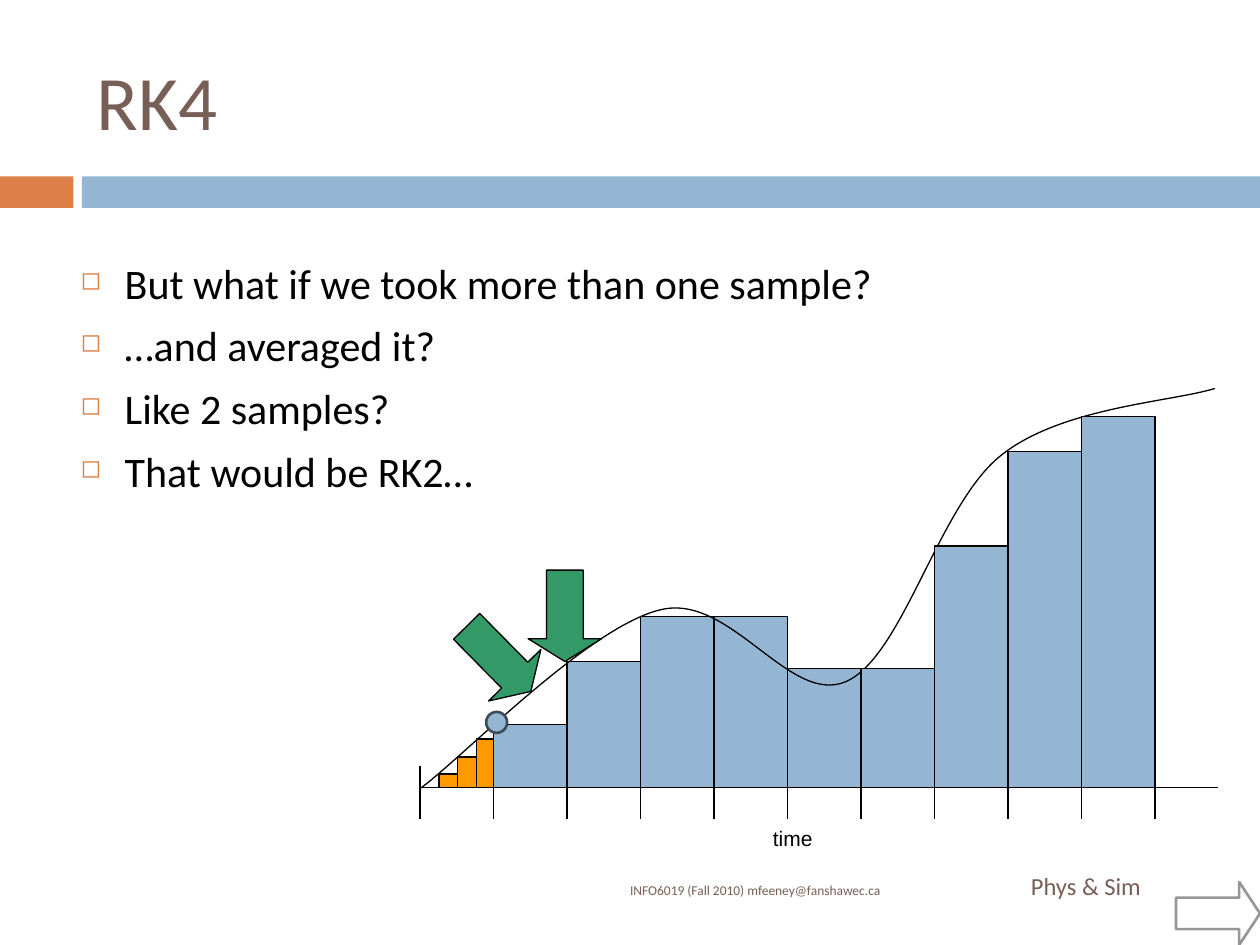
from dataclasses import dataclass

import lxml.etree
import pptx
import pptx.dml.color
import pptx.enum.shapes
import pptx.enum.text
import pptx.oxml.ns
import pptx.util

PX = 7620
BLUE, ORANGE, BROWN, BLACK = "94B6D2", "DD8047", "775F55", "000000"
GREEN, AMBER, GREY, SLATE = "339966", "FF9900", "969696", "3B4B58"
KIND = pptx.enum.shapes.MSO_SHAPE
ALIGN = pptx.enum.text.PP_ALIGN
ANCHOR = pptx.enum.text.MSO_ANCHOR
qn = pptx.oxml.ns.qn

LEFT, BASE, STEP = 400, 750, 70
SLIM = 18


@dataclass
class Box:
    x: int
    y: int
    w: int
    h: int

    def emu(self) -> list[int]:
        return [n * PX for n in (self.x, self.y, self.w, self.h)]


@dataclass
class Arrow:
    kind: int
    box: Box
    head: float
    fill: str | None
    line: str = BLACK
    width: float = 0.75
    turn: float = 0


def hue(code: str) -> pptx.dml.color.RGBColor:
    return pptx.dml.color.RGBColor.from_string(code)


def paint(shape, fill: str | None, line: str | None, width: float = 0.75) -> None:
    shape.shadow.inherit = False
    if fill:
        shape.fill.solid()
        shape.fill.fore_color.rgb = hue(fill)
    else:
        shape.fill.background()
    if line:
        shape.line.color.rgb = hue(line)
        shape.line.width = pptx.util.Pt(width)
    else:
        shape.line.fill.background()


def block(slide, box: Box, fill: str | None, line: str | None = BLACK,
          kind=KIND.RECTANGLE, width: float = 0.75):
    shape = slide.shapes.add_shape(kind, *box.emu())
    paint(shape, fill, line, width)
    return shape


def bars(slide, left: int, wide: int, tops: list[int], fill: str) -> None:
    for i, top in enumerate(tops):
        block(slide, Box(left + i * wide, top, wide, BASE - top), fill)


def arrow(slide, item: Arrow) -> None:
    shape = block(slide, item.box, item.fill, item.line, item.kind, item.width)
    shape.adjustments[0] = 0.5
    shape.adjustments[1] = item.head
    shape.rotation = item.turn


def rule(slide, x1: int, y1: int, x2: int, y2: int) -> None:
    line = slide.shapes.add_connector(
        pptx.enum.shapes.MSO_CONNECTOR.STRAIGHT, x1 * PX, y1 * PX, x2 * PX, y2 * PX)
    line.line.color.rgb = hue(BLACK)
    line.line.width = pptx.util.Pt(0.75)
    lxml.etree.SubElement(line._element.spPr, qn("a:effectLst"))


def curve(slide, start: tuple[int, int], spots: list[tuple[int, int]]) -> None:
    form = slide.shapes.build_freeform(*start, scale=PX)
    form.add_line_segments(spots, close=False)
    shape = form.convert_to_shape()
    paint(shape, None, BLACK)
    track = next(shape._element.iter(qn("a:path")))
    parts = track.findall(qn("a:lnTo"))
    for i in range(0, len(parts), 3):
        bend = lxml.etree.SubElement(track, qn("a:cubicBezTo"))
        for part in parts[i:i + 3]:
            bend.append(part[0])
            track.remove(part)


def mark(para) -> None:
    props = para._p.get_or_add_pPr()
    props.set("marL", str(42 * PX))
    props.set("indent", str(-42 * PX))
    tint = lxml.etree.SubElement(props, qn("a:buClr"))
    lxml.etree.SubElement(tint, qn("a:srgbClr")).set("val", ORANGE)
    lxml.etree.SubElement(props, qn("a:buSzPct")).set("val", "60000")
    lxml.etree.SubElement(props, qn("a:buChar")).set("char", "◻")


def write(slide, text: str, box: Box, *, size: float, color: str = BROWN,
          font: str = "Calibri", align=ALIGN.LEFT, anchor=ANCHOR.MIDDLE,
          gap: float = 0, pitch: float | None = None, list_: bool = False) -> None:
    frame = slide.shapes.add_textbox(*box.emu()).text_frame
    frame.word_wrap = True
    frame.vertical_anchor = anchor
    frame.text = text
    for i, para in enumerate(frame.paragraphs):
        para.alignment = align
        if pitch:
            para.line_spacing = pitch
        if i and gap:
            para.space_before = pptx.util.Pt(gap)
        if list_:
            mark(para)
        para.font.size = pptx.util.Pt(size)
        para.font.name = font
        para.font.color.rgb = hue(color)


def main() -> None:
    deck = pptx.Presentation()
    deck.slide_width, deck.slide_height = 1200 * PX, 900 * PX
    slide = deck.slides.add_slide(deck.slide_layouts[6])

    block(slide, Box(0, 168, 70, 30), ORANGE, None)
    block(slide, Box(78, 168, 1122, 30), BLUE, None)
    bars(slide, 418, SLIM, [737, 721, 704], AMBER)
    bars(slide, LEFT + STEP, STEP, [690, 630, 587, 587, 637], BLUE)

    write(slide, "RK4", Box(80, 30, 1070, 130), size=44)
    points = ["But what if we took more than one sample?", "…and averaged it?",
              "Like 2 samples?", "That would be RK2…"]
    write(slide, "\n".join(points), Box(65, 239, 1070, 350), size=24,
          color=BLACK, anchor=ANCHOR.TOP, gap=7, list_=True)
    arrow(slide, Arrow(KIND.RIGHT_ARROW, Box(1120, 840, 80, 60), 0.33,
                       None, GREY, 1.5))
    write(slide, "Phys & Sim", Box(970, 820, 180, 48), size=14)
    write(slide, "INFO6019 (Fall 2010) mfeeney@fanshawec.ca",
          Box(300, 834, 550, 30), size=7.7, align=ALIGN.RIGHT, pitch=0.8)

    curve(slide, (LEFT, 751), [
        (438, 724), (559, 598), (628, 581), (695, 563), (752, 673), (806, 649),
        (860, 625), (894, 481), (953, 434), (1010, 388), (1114, 383), (1157, 370)])
    rule(slide, LEFT, BASE, 1160, BASE)
    for i in range(11):
        x = LEFT + i * STEP
        rule(slide, x, 730, x, 780)
    write(slide, "time", Box(680, 780, 150, 36), size=12, color=BLACK,
          font="Arial", align=ALIGN.CENTER, anchor=ANCHOR.TOP)

    bars(slide, LEFT + 6 * STEP, STEP, [637, 520, 430, 397], BLUE)
    for item in (Arrow(KIND.DOWN_ARROW, Box(440, 584, 70, 87), 0.31, GREEN, turn=315.4),
                 Arrow(KIND.DOWN_ARROW, Box(503, 543, 70, 87), 0.31, GREEN)):
        arrow(slide, item)
    block(slide, Box(463, 678, 20, 20), BLUE, SLATE, KIND.OVAL, 1.5)

    deck.save("out.pptx")


if __name__ == "__main__":
    main()
